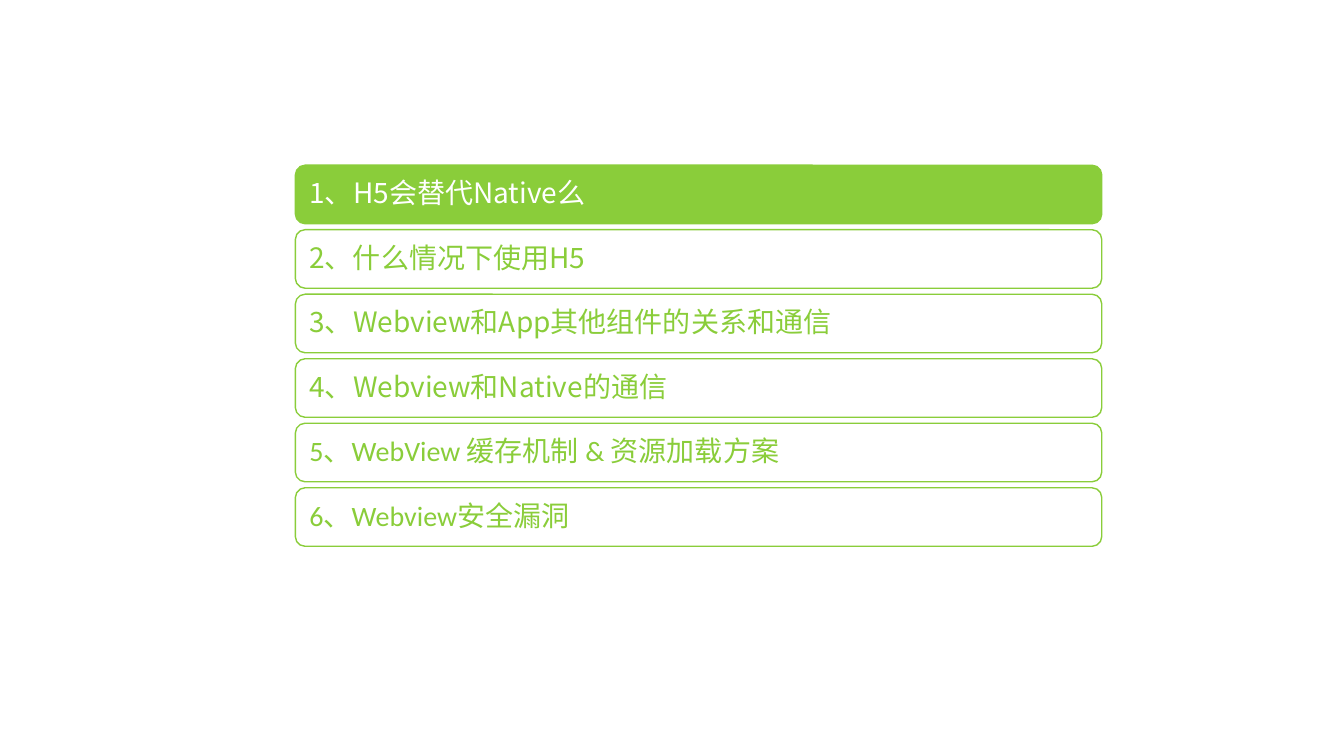
from dataclasses import dataclass

from lxml.etree import SubElement
from pptx import Presentation
from pptx.dml.color import RGBColor
from pptx.enum.shapes import MSO_SHAPE
from pptx.enum.text import MSO_ANCHOR, PP_ALIGN
from pptx.oxml.ns import qn
from pptx.shapes.autoshape import Shape
from pptx.slide import Slide
from pptx.util import Pt

GREEN = "8ACD3A"
WHITE = "FFFFFF"
CJK_FONT = "Noto Sans CJK SC"
LEFT, TOP, WIDTH, HEIGHT, PITCH = 211, 118, 576, 41.8, 46.08


@dataclass
class Topic:
    text: str
    font: str = CJK_FONT
    active: bool = False


TOPICS = [
    Topic("1、H5会替代Native么", active=True),
    Topic("2、什么情况下使用H5"),
    Topic("3、Webview和App其他组件的关系和通信"),
    Topic("4、Webview和Native的通信"),
    Topic("5、WebView 缓存机制 & 资源加载方案", font="Calibri"),
    Topic("6、Webview安全漏洞", font="Calibri"),
]


def color(value: str) -> RGBColor:
    return RGBColor.from_string(value)


def write(bar: Shape, text: str, *, font: str, size: float, fill: str) -> None:
    frame = bar.text_frame
    frame.word_wrap = True
    frame.vertical_anchor = MSO_ANCHOR.MIDDLE
    frame.margin_left = frame.margin_right = Pt(8)
    frame.margin_top = frame.margin_bottom = Pt(8)
    paragraph = frame.paragraphs[0]
    paragraph.alignment = PP_ALIGN.LEFT
    paragraph.line_spacing = 0.9
    paragraph.space_after = Pt(size * 0.35)
    run = paragraph.add_run()
    run.text = text
    run.font.size = Pt(size)
    run.font.name = font
    run.font.color.rgb = color(fill)
    SubElement(run.font._element, qn("a:ea"), typeface=CJK_FONT)


def draw_topic(slide: Slide, topic: Topic, top: float) -> None:
    bar = slide.shapes.add_shape(
        MSO_SHAPE.ROUNDED_RECTANGLE, Pt(LEFT), Pt(top), Pt(WIDTH), Pt(HEIGHT)
    )
    bar.shadow.inherit = False
    bar.fill.solid()
    bar.fill.fore_color.rgb = color(GREEN if topic.active else WHITE)
    bar.line.color.rgb = color(GREEN)
    bar.line.width = Pt(1)
    write(bar, topic.text, font=topic.font, size=20,
          fill=WHITE if topic.active else GREEN)


def main() -> None:
    deck = Presentation()
    deck.slide_width, deck.slide_height = Pt(960), Pt(540)
    slide = deck.slides.add_slide(deck.slide_layouts[6])
    for index, topic in enumerate(TOPICS):
        draw_topic(slide, topic, TOP + index * PITCH)
    deck.save("out.pptx")


if __name__ == "__main__":
    main()
